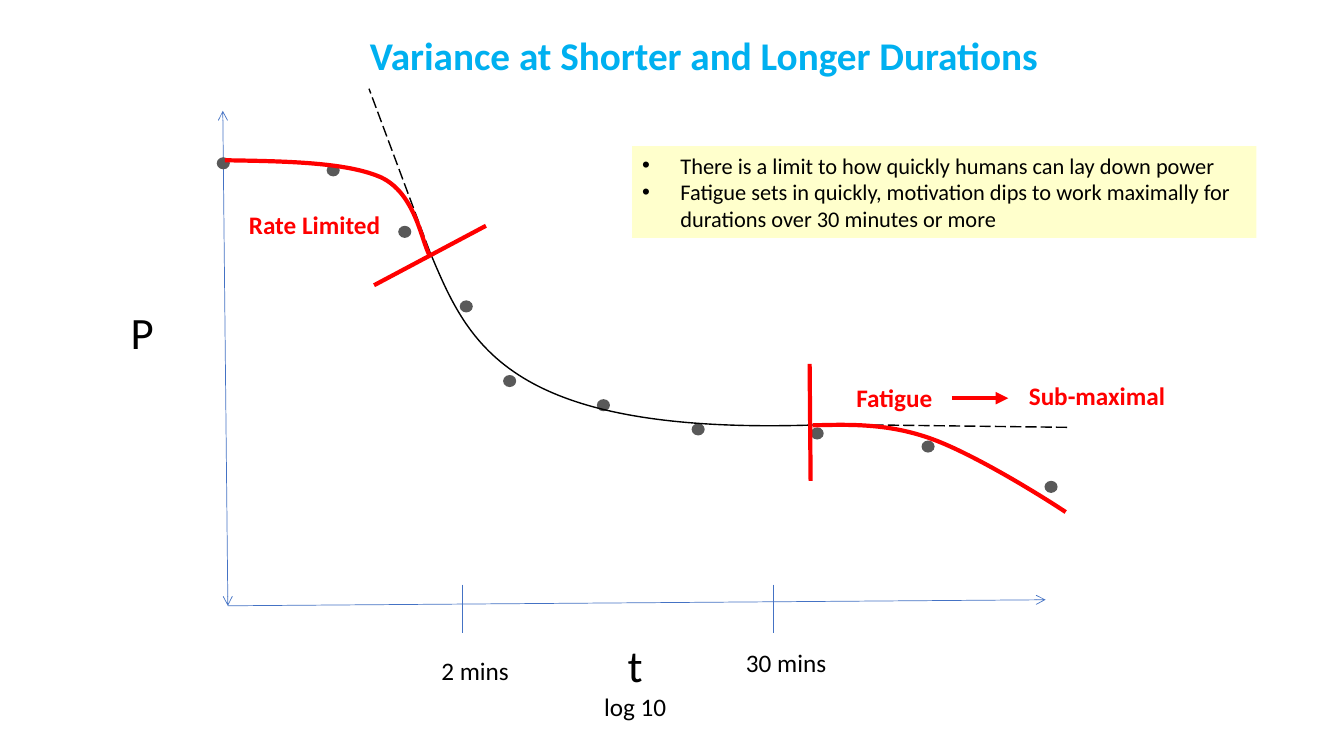
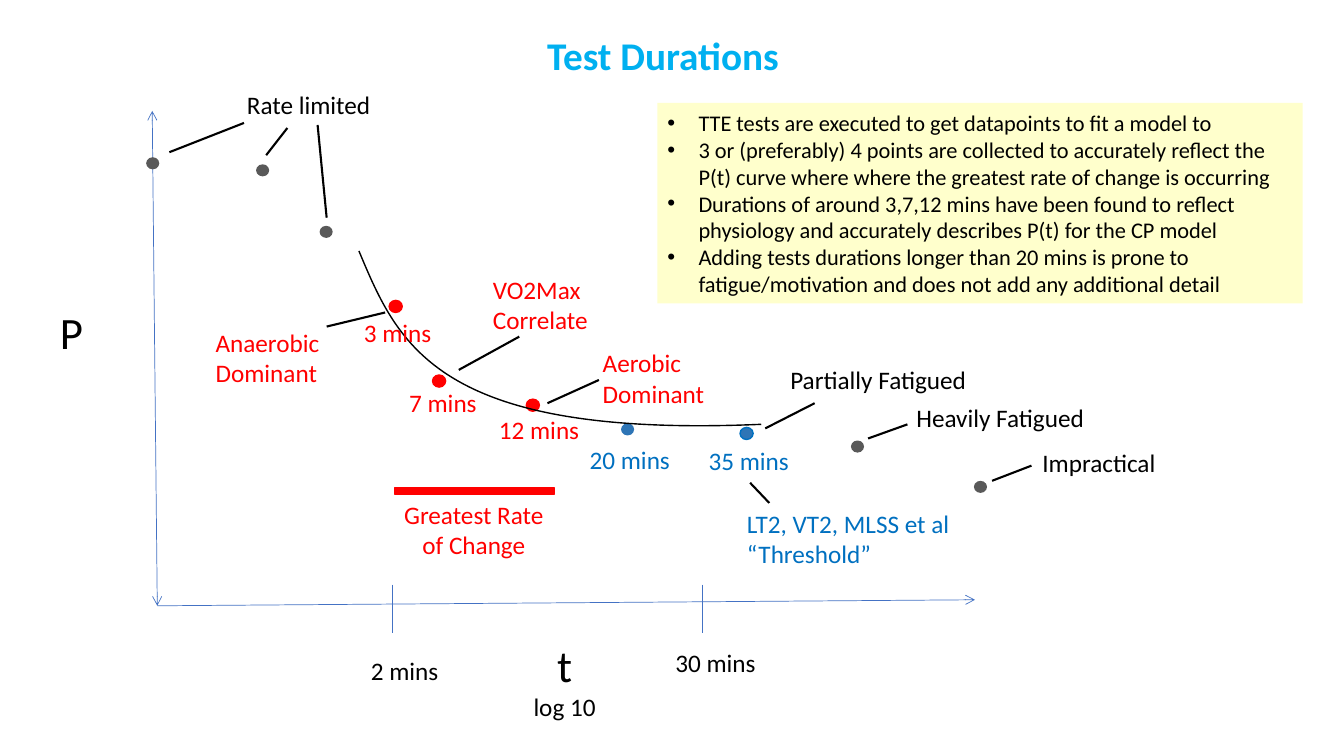
from dataclasses import dataclass

from lxml import etree
from pptx import Presentation
from pptx.dml.color import RGBColor
from pptx.enum.dml import MSO_LINE
from pptx.enum.shapes import MSO_CONNECTOR, MSO_SHAPE
from pptx.enum.text import MSO_AUTO_SIZE, PP_ALIGN
from pptx.oxml.ns import qn
from pptx.util import Cm, Pt

LEFT, CENTER = PP_ALIGN.LEFT, PP_ALIGN.CENTER
FIT_TEXT = MSO_AUTO_SIZE.SHAPE_TO_FIT_TEXT
STRAIGHT = MSO_CONNECTOR.STRAIGHT
OVAL, RECTANGLE = MSO_SHAPE.OVAL, MSO_SHAPE.RECTANGLE
LONG_DASH = MSO_LINE.LONG_DASH
CM_PER_UNIT = 2.54


@dataclass(frozen=True)
class Theme:
    font: str = "Calibri"
    title: str = "00B0F0"
    text: str = "000000"
    axis: str = "4472C4"
    point: str = "595959"
    red: str = "FF0000"
    blue: str = "0070C0"
    blue_point: str = "2E75B6"
    note: str = "FFFFCC"
    title_size: int = 28
    axis_size: int = 32
    label_size: int = 18
    note_size: int = 16
    axis_width: float = 0.5
    curve_width: float = 1
    callout_width: float = 1.5
    accent_width: float = 3


THEME = Theme()


def length(units):
    return Cm(units * CM_PER_UNIT)


def color(value):
    return RGBColor.from_string(value)


class Deck:
    def __init__(self, theme):
        self.theme = theme
        self.presentation = Presentation()
        self.presentation.slide_width = length(13.33)
        self.presentation.slide_height = length(7.5)
        self.slide = None

    def add_slide(self, title, left, width):
        layout = self.presentation.slide_layouts[6]
        self.slide = self.presentation.slides.add_slide(layout)
        self.text([title], left, 0.26, width, 0.57, self.theme.title,
                  self.theme.title_size, True, CENTER)

    def add_run(self, paragraph, text, size, text_color, bold=False):
        run = paragraph.add_run()
        run.text = text
        run.font.name = self.theme.font
        run.font.size = Pt(size)
        run.font.bold = bold
        run.font.color.rgb = color(text_color)

    def paragraphs(self, frame, count):
        frame.word_wrap = True
        frame.auto_size = FIT_TEXT
        return [frame.paragraphs[0]] + [frame.add_paragraph() for _ in range(count - 1)]

    def text(self, lines, left, top, width, height, text_color=THEME.text,
             size=THEME.label_size, bold=False, align=LEFT, first_size=None):
        box = self.slide.shapes.add_textbox(*map(length, (left, top, width, height)))
        paragraphs = self.paragraphs(box.text_frame, len(lines))
        for index, (paragraph, line) in enumerate(zip(paragraphs, lines)):
            paragraph.alignment = align
            line_size = first_size if first_size and index == 0 else size
            self.add_run(paragraph, line, line_size, text_color, bold)

    def shape(self, kind, left, top, width, height, fill, outline=None):
        shape = self.slide.shapes.add_shape(kind, *map(length, (left, top, width, height)))
        shape.shadow.inherit = False
        shape.fill.solid()
        shape.fill.fore_color.rgb = color(fill)
        if outline:
            shape.line.color.rgb = color(outline)
            shape.line.width = Pt(1)
        else:
            shape.line.fill.background()
        return shape

    def note(self, lines, left, top, width, height, indent):
        shape = self.shape(RECTANGLE, left, top, width, height, self.theme.note)
        for paragraph, line in zip(self.paragraphs(shape.text_frame, len(lines)), lines):
            paragraph.alignment = LEFT
            self.add_run(paragraph, line, self.theme.note_size, self.theme.text)
            properties = paragraph._p.get_or_add_pPr()
            properties.set("marL", str(length(indent)))
            properties.set("indent", str(-length(indent)))
            etree.SubElement(properties, qn("a:buFont"), typeface="Arial")
            etree.SubElement(properties, qn("a:buChar"), char="•")

    def line(self, start, end, line_color, width, dash=None, head=None, tail=None):
        connector = self.slide.shapes.add_connector(STRAIGHT, *map(length, (*start, *end)))
        connector.line.color.rgb = color(line_color)
        connector.line.width = Pt(width)
        if dash:
            connector.line.dash_style = dash
        properties = connector.element.spPr
        outline = properties.find(qn("a:ln"))
        for tag, arrow in (("a:headEnd", head), ("a:tailEnd", tail)):
            if arrow:
                etree.SubElement(outline, qn(tag), type=arrow)
        etree.SubElement(properties, qn("a:effectLst"))

    def curve(self, points, line_color, width):
        vertices = [(length(x), length(y)) for x, y in points]
        builder = self.slide.shapes.build_freeform(*vertices[0], scale=1.0)
        builder.add_line_segments(vertices[1:], close=False)
        shape = builder.convert_to_shape()
        shape.shadow.inherit = False
        shape.fill.background()
        shape.line.color.rgb = color(line_color)
        shape.line.width = Pt(width)
        segments = list(shape.element.iter(qn("a:lnTo")))
        outline = segments[0].getparent()
        for first in range(0, len(segments), 3):
            bezier = etree.SubElement(outline, qn("a:cubicBezTo"))
            for segment in segments[first:first + 3]:
                bezier.append(segment[0])
                outline.remove(segment)

    def graph(self, left, third_point, marks):
        theme = self.theme
        origin = (left + 0.05, 6.01)
        self.line((left, 1.1), origin, theme.axis, theme.axis_width,
                  head="arrow", tail="arrow")
        self.line((left + 8.16, 5.95), origin, theme.axis, theme.axis_width, head="arrow")
        points = [(-0.06, 1.56), (1.03, 1.63), (third_point, 2.24), (2.35, 2.98),
                  (2.78, 3.72), (3.71, 3.96), (4.65, 4.2), (5.83, 4.24),
                  (6.93, 4.37), (8.15, 4.77)]
        for (x, y), (fill, outline) in zip(points, marks):
            self.shape(OVAL, left + x, y, 0.13, 0.12, fill, outline)
        self.text(["t", "log 10"], left + 3.26, 6.28, 1.66, 0.94, align=CENTER,
                  first_size=theme.axis_size)
        self.text(["P"], left - 1.63, 2.97, 1.66, 0.64, size=theme.axis_size, align=CENTER)
        for x in (2.38, 5.46):
            self.line((left + x, 5.8), (left + x, 6.28), theme.axis, theme.axis_width)
        self.text(["2 mins"], left + 2.07, 6.45, 0.94, 0.4)
        self.text(["30 mins"], left + 5.09, 6.37, 1.19, 0.4)
        power_curve = [(2.05, 2.49), (2.44, 3.42), (2.82, 4.35), (6.04, 4.21)]
        self.curve([(left + x, y) for x, y in power_curve], theme.text, theme.curve_width)


def variance_slide(deck):
    theme = deck.theme
    deck.add_slide("Variance at Shorter and Longer Durations", 3.15, 7.66)
    deck.graph(2.21, 1.74, [(theme.point, None)] * 10)
    for start, end in (((4.26, 2.49), (3.66, 0.88)), ((8.2, 4.21), (10.62, 4.24))):
        deck.line(start, end, theme.text, theme.curve_width, LONG_DASH)
    rate_limit = [(2.23, 1.59), (2.84, 1.6), (3.44, 1.61), (3.78, 1.76),
                  (4.12, 1.92), (4.18, 2.39), (4.26, 2.53)]
    fatigue = [(8.06, 4.22), (8.42, 4.21), (8.79, 4.2), (9.2, 4.34),
               (9.62, 4.48), (10.33, 4.92), (10.57, 5.08)]
    for points in (rate_limit, fatigue):
        deck.curve(points, theme.red, theme.accent_width)
    for label, left, top, width, align in (
        ("Rate Limited", 2.37, 2.03, 1.73, LEFT),
        ("Fatigue", 8.17, 3.74, 1.4, CENTER),
        ("Sub-maximal", 9.94, 3.72, 1.88, CENTER),
    ):
        deck.text([label], left, top, width, 0.4, theme.red, bold=True, align=align)
    for start, end, tail in (
        ((9.44, 3.95), (10, 3.95), "triangle"),
        ((8.03, 3.61), (8.04, 4.77), None),
        ((4.82, 2.24), (3.71, 2.83), None),
    ):
        deck.line(start, end, theme.red, theme.accent_width, tail=tail)
    deck.note([
        "There is a limit to how quickly humans can lay down power",
        "Fatigue sets in quickly, motivation dips to work maximally for "
        "durations over 30 minutes or more",
    ], 6.27, 1.45, 6.19, 0.91, 0.38)


def durations_slide(deck):
    theme = deck.theme
    deck.add_slide("Test Durations", 3.66, 5.83)
    plain = (theme.point, None)
    deck.graph(1.51, 1.66, [plain] * 3 + [(theme.red, theme.red)] * 3
               + [(theme.blue_point, None), (theme.blue_point, theme.blue)] + [plain] * 2)
    for lines, left, top, width, height, text_color in (
        (["3 mins"], 3.51, 3.1, 0.98, 0.4, theme.red),
        (["7 mins"], 3.96, 3.79, 0.98, 0.4, theme.red),
        (["12 mins"], 4.85, 4.06, 1.18, 0.4, theme.red),
        (["20 mins"], 5.75, 4.36, 1.18, 0.4, theme.blue),
        (["35 mins"], 6.93, 4.37, 1.18, 0.4, theme.blue),
        (["Anaerobic", "Dominant"], 2.04, 3.2, 1.64, 0.71, theme.red),
        (["VO2Max Correlate"], 4.79, 2.67, 1.84, 0.71, theme.red),
        (["Aerobic Dominant"], 5.88, 3.4, 1.84, 0.71, theme.red),
        (["LT2, VT2, MLSS et al “Threshold”"], 7.31, 4.99, 2.3, 0.71, theme.blue),
        (["Rate limited"], 2.35, 0.84, 1.61, 0.4, theme.text),
        (["Partially Fatigued"], 7.74, 3.57, 2.13, 0.4, theme.text),
        (["Heavily Fatigued"], 8.99, 3.94, 2.04, 0.4, theme.text),
        (["Impractical"], 10.24, 4.39, 1.34, 0.4, theme.text),
    ):
        deck.text(lines, left, top, width, height, text_color)
    for start, end in (
        ((3.24, 3.24), (3.82, 3.1)),
        ((4.55, 3.67), (5.15, 3.34)),
        ((5.43, 4), (5.94, 3.77)),
        ((7.44, 4.79), (7.63, 4.99)),
        ((9, 4.21), (8.61, 4.35)),
        ((10.23, 4.62), (9.84, 4.77)),
        ((2.85, 1.27), (2.64, 1.54)),
        ((3.15, 1.24), (3.24, 2.16)),
        ((2.42, 1.22), (1.68, 1.51)),
        ((8.08, 4), (7.59, 4.25)),
    ):
        deck.line(start, end, theme.text, theme.callout_width)
    deck.shape(RECTANGLE, 3.91, 4.84, 1.59, 0.06, theme.red, theme.red)
    deck.text(["Greatest Rate of Change"], 3.78, 4.9, 1.84, 0.71, theme.red, align=CENTER)
    deck.note([
        "TTE tests are executed to get datapoints to fit a model to",
        "3 or (preferably) 4 points are collected to accurately reflect the "
        "P(t) curve where where the greatest rate of change is occurring",
        "Durations of around 3,7,12 mins have been found to reflect "
        "physiology and accurately describes P(t) for the CP model",
        "Adding tests durations longer than 20 mins is prone to "
        "fatigue/motivation and does not add any additional detail",
    ], 6.52, 1.02, 6.4, 1.99, 0.31)


deck = Deck(THEME)
variance_slide(deck)
durations_slide(deck)
deck.presentation.save("out.pptx")
